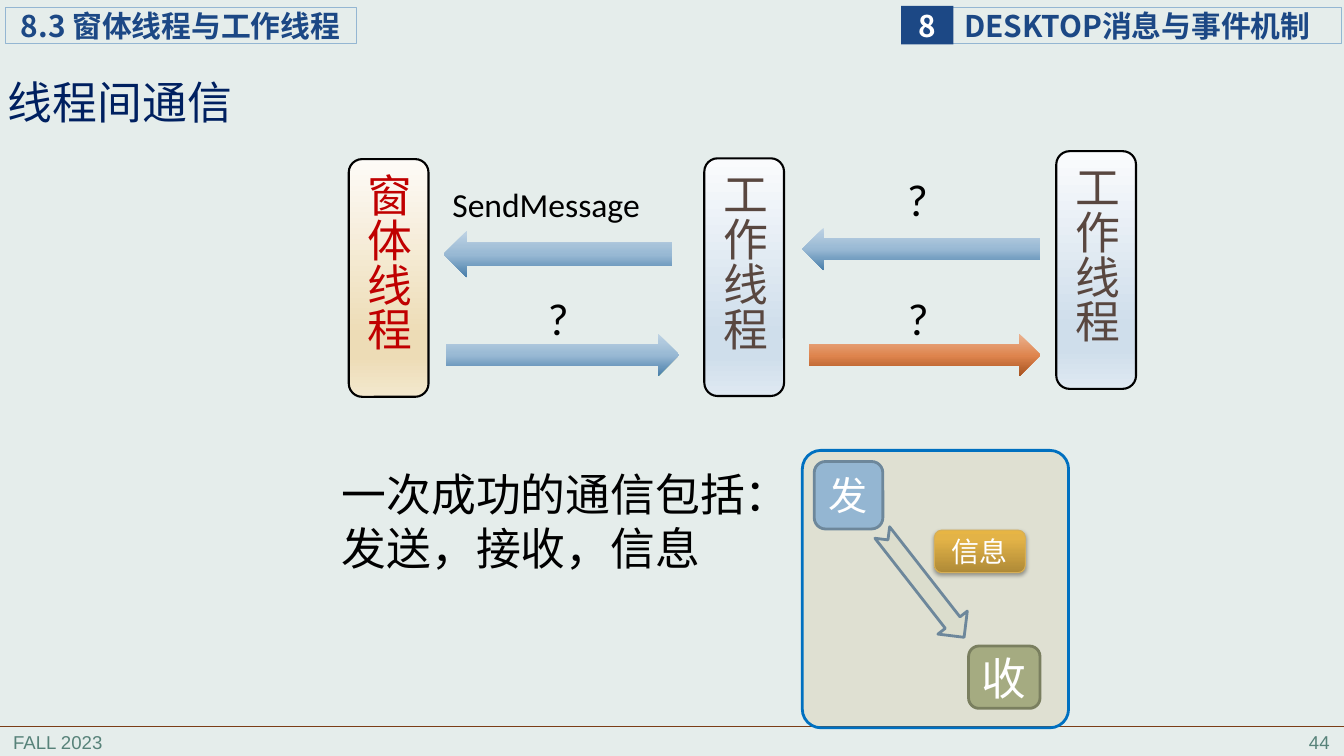
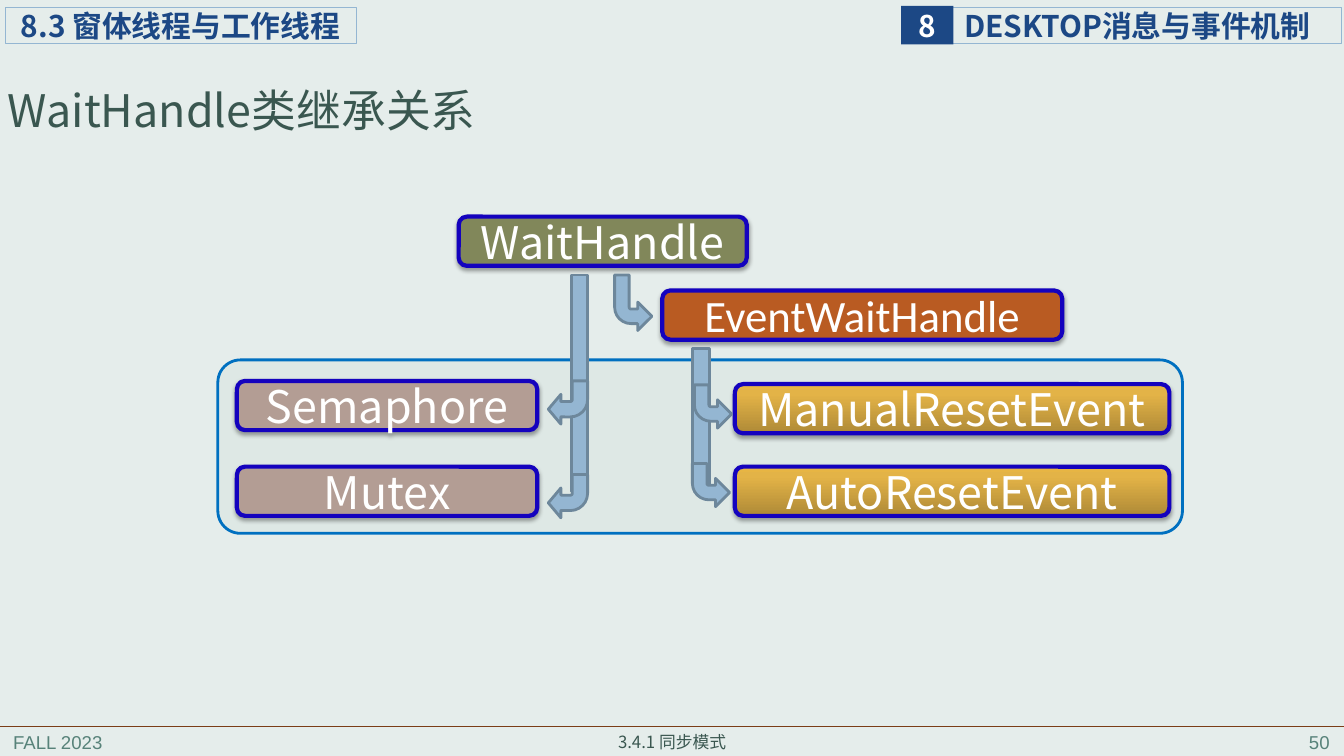
"""Build two slides on thread communication and the WaitHandle class family."""
from lxml.etree import SubElement
from pptx import Presentation
from pptx.dml.color import RGBColor
from pptx.enum.shapes import MSO_CONNECTOR, MSO_SHAPE
from pptx.enum.text import MSO_ANCHOR, PP_ALIGN
from pptx.oxml.ns import qn
from pptx.util import Cm, Pt

CJK, CALIBRI, ARIAL = "Noto Sans CJK SC", "Calibri", "Arial"
WIDTH, HEIGHT = 33.87, 19.05

COLORS = {
    "page": "E5EDEB", "white": "FFFFFF", "black": "000000",
    "navy": "1C4885", "title_navy": "002060", "green": "3A5750",
    "footer": "578279", "rule": "7B3D17", "sky": "94B6D2",
    "sky_edge": "6D879B", "frame": "0070C0", "red": "C00000",
    "brown": "594740", "sand": "BA8F2D", "mint": "B0CAC4",
    "pale": "DBDDCD", "sage": "A5AB81", "sage_edge": "7A7F5F",
    "gold_edge": "D6AF57", "violet": "1402BE", "olive": "81875A",
    "rust": "B95B22", "mauve": "B39D94",
}
GRADIENTS = {
    "cream": [(0, "FDFBF7"), (74, "EDDCB6"), (83, "EDDCB6"), (100, "F3E8CE")],
    "ice": [(0, "FAFBFD"), (74, "CFDEEB"), (83, "CFDEEB"), (100, "DFE9F2")],
    "blue": [(0, "BFD3E4"), (52, "97B8D3"), (100, "477DA9")],
    "orange": [(0, "EBB391"), (52, "DE844D"), (100, "A5521F")],
    "gold": [(0, "E7B544"), (20, "E3B347"), (100, "AF8A37")],
}

SECTION = "8.3 窗体线程与工作线程"
CHAPTER = ("8", "DESKTOP消息与事件机制")
TERM = "FALL 2023"

THREAD_SIZE = (2.01, 5.99)
THREADS = [
    ("窗体线程", 8.79, 4.01, "cream", "red"),
    ("工作线程", 17.75, 3.99, "ice", "brown"),
    ("工作线程", 26.62, 3.81, "ice", "brown"),
]
MESSAGE_ARROWS = [
    (MSO_SHAPE.LEFT_ARROW, (11.18, 5.82, 5.77, 1.17), "blue"),
    (MSO_SHAPE.RIGHT_ARROW, (11.25, 8.41, 5.87, 1.07), "blue"),
    (MSO_SHAPE.RIGHT_ARROW, (20.4, 8.41, 5.82, 1.07), "orange"),
    (MSO_SHAPE.LEFT_ARROW, (20.22, 5.74, 5.99, 1.07), "blue"),
]
MESSAGE_LABELS = [
    ("SendMessage", (11.15, 4.52, 5.44, 1.27), 24),
    ("?", (13.56, 7.19, 0.94, 1.63), 32),
    ("?", (22.63, 7.19, 0.94, 1.63), 32),
    ("?", (22.61, 4.19, 0.94, 1.63), 32),
]
SUMMARY = "一次成功的通信包括：发送，接收，信息"

CLASS_HEIGHT = 1.24
CLASSES = [
    ("WaitHandle", 11.56, 5.46, 7.26, "olive", CJK),
    ("EventWaitHandle", 16.69, 7.32, 10.08, "rust", CALIBRI),
    ("ManualResetEvent", 18.52, 9.68, 10.95, "gold", CJK),
    ("Semaphore", 5.97, 9.6, 7.57, "mauve", CJK),
    ("Mutex", 5.97, 11.76, 7.57, "mauve", CJK),
    ("AutoResetEvent", 18.52, 11.76, 10.95, "gold", CJK),
]
STEMS = [(14.4, 6.93, 0.41, 5.46), (17.45, 8.79, 0.43, 3.43)]
LEFT_BENDS = [(13.82, 11.96, 0.99, 1.09), (13.82, 9.6, 0.99, 1.09)]
RIGHT_BENDS = [(15.49, 6.93, 0.94, 1.4), (17.5, 9.7, 0.94, 1.09),
               (17.45, 11.68, 0.94, 1.09)]


def rgb(name):
    return RGBColor.from_string(COLORS[name])


def paint(sp, fill, alpha=None):
    if fill is None:
        sp.fill.background()
    elif fill in GRADIENTS:
        sp.fill.gradient()
        sp.fill.gradient_angle = 270
        stops = sp._element.spPr.find(qn("a:gradFill")).find(qn("a:gsLst"))
        for old in list(stops):
            stops.remove(old)
        for pos, color in GRADIENTS[fill]:
            stop = SubElement(stops, qn("a:gs"), pos=str(pos * 1000))
            SubElement(stop, qn("a:srgbClr"), val=color)
    else:
        sp.fill.solid()
        sp.fill.fore_color.rgb = rgb(fill)
        if alpha:
            clr = sp._element.spPr.find(qn("a:solidFill"))[0]
            SubElement(clr, qn("a:alpha"), val=str(alpha * 1000))


def add_shape(s, kind, at, fill=None, line=None, width=2, alpha=None, adj=()):
    sp = s.shapes.add_shape(kind, *map(Cm, at))
    sp.shadow.inherit = False
    paint(sp, fill, alpha)
    if line:
        sp.line.color.rgb = rgb(line)
        sp.line.width = Pt(width)
    else:
        sp.line.fill.background()
    for i, value in enumerate(adj):
        sp.adjustments[i] = value
    return sp


def write(sp, text, size, color, font=CJK, align=PP_ALIGN.CENTER,
          anchor=MSO_ANCHOR.MIDDLE, bold=False, margins=None):
    tf = sp.text_frame
    tf.word_wrap = True
    tf.vertical_anchor = anchor
    if margins:
        (tf.margin_left, tf.margin_top,
         tf.margin_right, tf.margin_bottom) = map(Cm, margins)
    tf.text = text
    p = tf.paragraphs[0]
    p.alignment = align
    r = p.runs[0]
    r.font.size, r.font.bold, r.font.name = Pt(size), bold, font
    r.font.color.rgb = rgb(color)
    SubElement(r._r.get_or_add_rPr(), qn("a:ea"), typeface=CJK)
    return p


def add_text(s, at, text, size, color, font=CJK, align=PP_ALIGN.LEFT,
             anchor=MSO_ANCHOR.TOP, margins=None):
    tb = s.shapes.add_textbox(*map(Cm, at))
    return write(tb, text, size, color, font, align, anchor, margins=margins)


def add_shadow(sp):
    effects = sp._element.spPr.find(qn("a:effectLst"))
    shadow = SubElement(effects, qn("a:outerShdw"), blurRad=str(Pt(3.1)),
                        dist=str(Pt(1.8)), dir="5400000", rotWithShape="0")
    clr = SubElement(shadow, qn("a:srgbClr"), val=COLORS["black"])
    SubElement(clr, qn("a:alpha"), val="35000")


def add_rule(s, y):
    line = s.shapes.add_connector(MSO_CONNECTOR.STRAIGHT,
                                  Cm(0), Cm(y), Cm(WIDTH), Cm(y))
    line.line.color.rgb = rgb("rule")
    line.line.width = Pt(0.5)
    SubElement(line._element.spPr, qn("a:effectLst"))


def add_slide(prs, number, title, title_at, title_color):
    s = prs.slides.add_slide(prs.slide_layouts[6])
    add_text(s, (0.08, 18.29, 7.06, 0.79), TERM, 13.3, "footer", ARIAL)
    add_text(s, (26.7, 18.29, 7.06, 0.79), number, 13.3, "footer", ARIAL,
             PP_ALIGN.RIGHT)
    badge, chapter = CHAPTER
    left, center = PP_ALIGN.LEFT, PP_ALIGN.CENTER
    for text, at, fill, line, color, align, inset in [
        (chapter, (24, 0.18, 9.8, 0.92), None, "sky", "navy", left, 0.3),
        (badge, (22.71, 0.15, 1.32, 0.97), "navy", None, "white", center, 0),
        (SECTION, (0.13, 0.18, 8.86, 0.92), None, "sky", "navy", left, 0.4),
    ]:
        sp = add_shape(s, MSO_SHAPE.RECTANGLE, at, fill, line, 0.75)
        write(sp, text, 21.3, color, align=align, bold=True,
              margins=(inset, 0, 0, 0))
    add_rule(s, 18.31)
    p = add_text(s, title_at, title, 32, title_color,
                 anchor=MSO_ANCHOR.MIDDLE, margins=(0.2, 0.1, 0.2, 0.1))
    p.line_spacing = 0.9
    return s


def add_node(s, text, at, fill, line, width, size, font=CJK):
    sp = add_shape(s, MSO_SHAPE.ROUNDED_RECTANGLE, at, fill, line, width)
    write(sp, text, size, "white", font)
    return sp


def add_bend(s, at, bend, flips):
    sp = add_shape(s, MSO_SHAPE.BENT_ARROW, at, "sky", "sky_edge",
                   adj=(0.39, 0.38, bend, 0.44))
    for flip in flips:
        sp._element.spPr.find(qn("a:xfrm")).set(flip, "1")


def build_communication(prs):
    s = add_slide(prs, "44", "线程间通信", (0, 1.5, 10.8, 2.31), "title_navy")
    for text, x, y, fill, color in THREADS:
        sp = add_shape(s, MSO_SHAPE.ROUNDED_RECTANGLE, (x, y, *THREAD_SIZE),
                       fill, "black", 1.5)
        write(sp, text, 32, color)
        sp.text_frame.word_wrap = False
        sp.text_frame._txBody.find(qn("a:bodyPr")).set("vert", "eaVert")
    for kind, at, fill in MESSAGE_ARROWS:
        add_shape(s, kind, at, fill)
    for text, at, size in MESSAGE_LABELS:
        add_text(s, at, text, size, "black", CALIBRI)
    add_shape(s, MSO_SHAPE.ROUNDED_RECTANGLE, (20.22, 11.35, 6.71, 6.99),
              "sand", "frame", alpha=13, adj=(0.07,))
    add_node(s, "发", (20.52, 11.63, 1.73, 1.7), "sky", "sky_edge", 2, 28)
    transfer = add_shape(s, MSO_SHAPE.NOTCHED_RIGHT_ARROW,
                         (21.59, 14.27, 3.35, 0.94), "pale", "sky_edge")
    transfer.rotation = 52
    add_node(s, "收", (24.41, 16.28, 1.8, 1.57), "sage", "sage_edge", 2, 32)
    add_shadow(add_node(s, "信息", (23.55, 13.36, 2.29, 1.07),
                        "gold", "gold_edge", 0.75, 20))
    add_text(s, (8.36, 11.63, 10.72, 3), SUMMARY, 32, "black")


def build_inheritance(prs):
    s = add_slide(prs, "50", "WaitHandle类继承关系", (0, 1.02, 29.21, 3.68),
                  "green")
    add_shape(s, MSO_SHAPE.ROUNDED_RECTANGLE, (5.49, 9.07, 24.31, 4.37),
              "mint", "frame", alpha=13, adj=(0.13,))
    for text, x, y, w, fill, font in CLASSES:
        add_shadow(add_node(s, text, (x, y, w, CLASS_HEIGHT),
                            fill, "violet", 3, 32, font))
    for at in STEMS:
        add_shape(s, MSO_SHAPE.RECTANGLE, at, "sky", "sky_edge")
    for at in LEFT_BENDS:
        add_bend(s, at, 0.32, ("flipH", "flipV"))
    for at in RIGHT_BENDS:
        add_bend(s, at, 0.38, ("flipV",))
    add_text(s, (4.24, 18.31, 25.4, 0.76), "3.4.1 同步模式", 12, "green",
             align=PP_ALIGN.CENTER)


def main():
    prs = Presentation()
    prs.slide_width, prs.slide_height = Cm(WIDTH), Cm(HEIGHT)
    background = prs.slide_master.background.fill
    background.solid()
    background.fore_color.rgb = rgb("page")
    build_communication(prs)
    build_inheritance(prs)
    prs.save("out.pptx")


if __name__ == "__main__":
    main()
